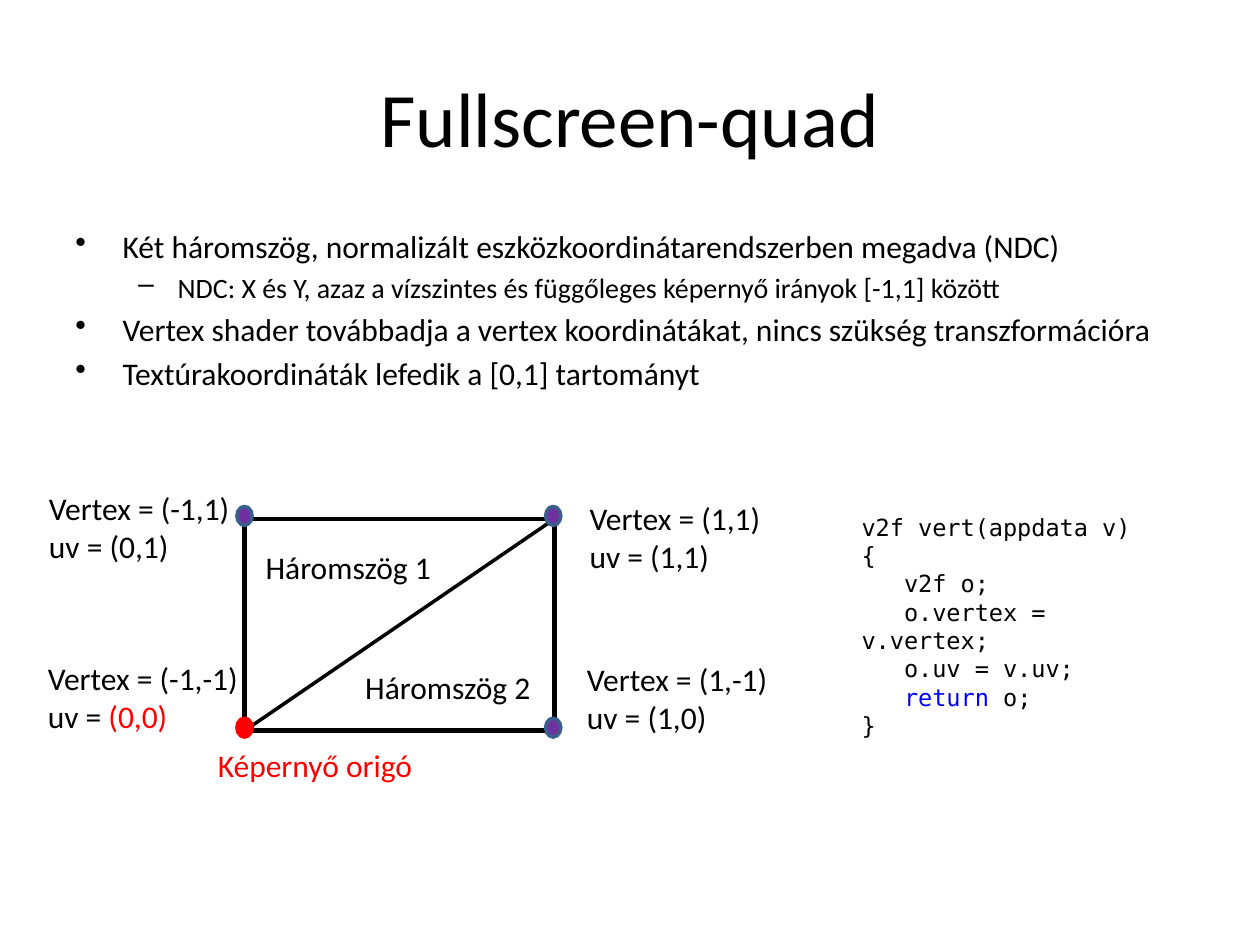
import dataclasses

import pptx
import pptx.dml.color
import pptx.enum.shapes
import pptx.enum.text
import pptx.oxml.ns
import pptx.util
from lxml import etree

Pt = pptx.util.Pt
ShapeKind = pptx.enum.shapes.MSO_SHAPE
Align = pptx.enum.text.PP_ALIGN
Anchor = pptx.enum.text.MSO_ANCHOR
AutoSize = pptx.enum.text.MSO_AUTO_SIZE


@dataclasses.dataclass(frozen=True)
class Theme:
    """Colours, fonts and type sizes of the slide."""
    ink: str = "000000"
    paper: str = "FFFFFF"
    origin: str = "FF0000"
    keyword: str = "0000FF"
    corner: str = "7030A0"
    corner_line: str = "3A5F8C"
    text_font: str = "Calibri"
    code_font: str = "DejaVu Sans Mono"
    title_size: float = 44
    body_size: float = 18
    detail_size: float = 16
    code_size: float = 13.5


THEME = Theme()


def rgb(value):
    """Turn a hex string into a colour."""
    return pptx.dml.color.RGBColor.from_string(value)


def add_run(paragraph, text, size=THEME.body_size, color=THEME.ink, font=THEME.text_font):
    """Append one formatted run to a paragraph."""
    run = paragraph.add_run()
    run.text = text
    run.font.name = font
    run.font.size = Pt(size)
    run.font.color.rgb = rgb(color)


def add_frame(slide, box, grow=False):
    """Add a wrapping text box and return its text frame."""
    frame = slide.shapes.add_textbox(*map(Pt, box)).text_frame
    frame.word_wrap = True
    frame.auto_size = AutoSize.SHAPE_TO_FIT_TEXT if grow else AutoSize.NONE
    return frame


def add_lines(slide, box, lines, **style):
    """Fill a text box with lines, each a list of (text, colour) runs."""
    frame = add_frame(slide, box, grow=True)
    for index, line in enumerate(lines):
        paragraph = frame.add_paragraph() if index else frame.paragraphs[0]
        for text, color in line:
            add_run(paragraph, text, color=color, **style)


def set_bullet(paragraph, character, margin, hanging):
    """Give a paragraph a bullet character and a hanging indent."""
    properties = paragraph._p.get_or_add_pPr()
    properties.set("marL", str(Pt(margin)))
    properties.set("indent", str(-Pt(hanging)))
    bullet = etree.SubElement(properties, pptx.oxml.ns.qn("a:buChar"))
    bullet.set("char", character)


def add_title(slide, box, text):
    """Place the centred slide title."""
    frame = add_frame(slide, box)
    frame.vertical_anchor = Anchor.MIDDLE
    paragraph = frame.paragraphs[0]
    paragraph.alignment = Align.CENTER
    add_run(paragraph, text, THEME.title_size)


def add_bullets(slide, box, items):
    """Place a two-level bullet list of (level, text) items."""
    levels = (("•", 27, 27, THEME.body_size), ("–", 58.5, 22.5, THEME.detail_size))
    frame = add_frame(slide, box)
    for index, (level, text) in enumerate(items):
        character, margin, hanging, size = levels[level]
        paragraph = frame.add_paragraph() if index else frame.paragraphs[0]
        paragraph.level = level
        set_bullet(paragraph, character, margin, hanging)
        if index:
            paragraph.space_before = Pt(size * 0.2)
        add_run(paragraph, text, size)


def add_solid(shapes, kind, box, fill, line, weight):
    """Add a filled and outlined shape without shadow."""
    shape = shapes.add_shape(kind, *map(Pt, box))
    shape.shadow.inherit = False
    shape.fill.solid()
    shape.fill.fore_color.rgb = rgb(fill)
    shape.line.color.rgb = rgb(line)
    shape.line.width = Pt(weight)


def add_quad(slide, box):
    """Draw the quad with its diagonal, corner dots and labels."""
    left, top, width, height = box
    right, bottom = left + width, top + height
    shapes = slide.shapes.add_group_shape().shapes
    add_solid(shapes, ShapeKind.RECTANGLE, box, THEME.paper, THEME.ink, 2.75)
    diagonal = shapes.add_connector(
        pptx.enum.shapes.MSO_CONNECTOR.STRAIGHT, *map(Pt, (left, bottom, right, top)))
    diagonal.line.color.rgb = rgb(THEME.ink)
    diagonal.line.width = Pt(2)
    etree.SubElement(diagonal._element.spPr, pptx.oxml.ns.qn("a:effectLst"))

    dot_width, dot_height, lift = 8.7, 10.8, 1.8
    for x in (left, right - 0.7):
        for y in (top, bottom):
            is_origin = (x, y) == (left, bottom)
            fill = THEME.origin if is_origin else THEME.corner
            line = THEME.origin if is_origin else THEME.corner_line
            dot = (x - dot_width / 2, y - lift - dot_height / 2, dot_width, dot_height)
            add_solid(shapes, ShapeKind.OVAL, dot, fill, line, 2)

    ink, origin = THEME.ink, THEME.origin
    corners = (
        (left - 118.8, top - 20.8, "(-1,1)", "(0,1)", ink),
        (right + 13, top - 15.1, "(1,1)", "(1,1)", ink),
        (left - 119.5, bottom - 44.6, "(-1,-1)", "(0,0)", origin),
        (right + 11.5, bottom - 43.9, "(1,-1)", "(1,0)", ink),
    )
    for x, y, vertex, uv, color in corners:
        lines = [[("Vertex = " + vertex, ink)], [("uv = ", ink), (uv, color)]]
        add_lines(slide, (x, y, 137.5, 51), lines)

    captions = (
        (left + 5, top + 13, 114, "Háromszög 1", ink),
        (left + 61.9, bottom - 39.6, 114.5, "Háromszög 2", ink),
        (left - 22.3, bottom + 5, 137.5, "Képernyő origó", origin),
    )
    for x, y, caption_width, text, color in captions:
        add_lines(slide, (x, y, caption_width, 29), [[(text, color)]])


def add_code(slide, box):
    """Place the vertex shader listing."""
    ink = THEME.ink
    lines = [[(text, ink)] for text in (
        "v2f vert(appdata v)", "{", "   v2f o;", "   o.vertex = v.vertex;", "   o.uv = v.uv;")]
    lines += [[("   return", THEME.keyword), (" o;", ink)], [("}", ink)]]
    add_lines(slide, box, lines, size=THEME.code_size, font=THEME.code_font)


def main():
    """Build and save the slide."""
    presentation = pptx.Presentation()
    presentation.slide_width, presentation.slide_height = Pt(720), Pt(540)
    slide = presentation.slides.add_slide(presentation.slide_layouts[6])
    add_title(slide, (36, 21.6, 648, 90), "Fullscreen-quad")
    add_bullets(slide, (36, 126, 648, 356.4), (
        (0, "Két háromszög, normalizált eszközkoordinátarendszerben megadva (NDC)"),
        (1, "NDC: X és Y, azaz a vízszintes és függőleges képernyő irányok [-1,1] között"),
        (0, "Vertex shader továbbadja a vertex koordinátákat, nincs szükség transzformációra"),
        (0, "Textúrakoordináták lefedik a [0,1] tartományt"),
    ))
    add_quad(slide, (139.7, 296.6, 177.1, 121))
    add_code(slide, (485.3, 289.4, 194.4, 121.7))
    presentation.save("out.pptx")


if __name__ == "__main__":
    main()
